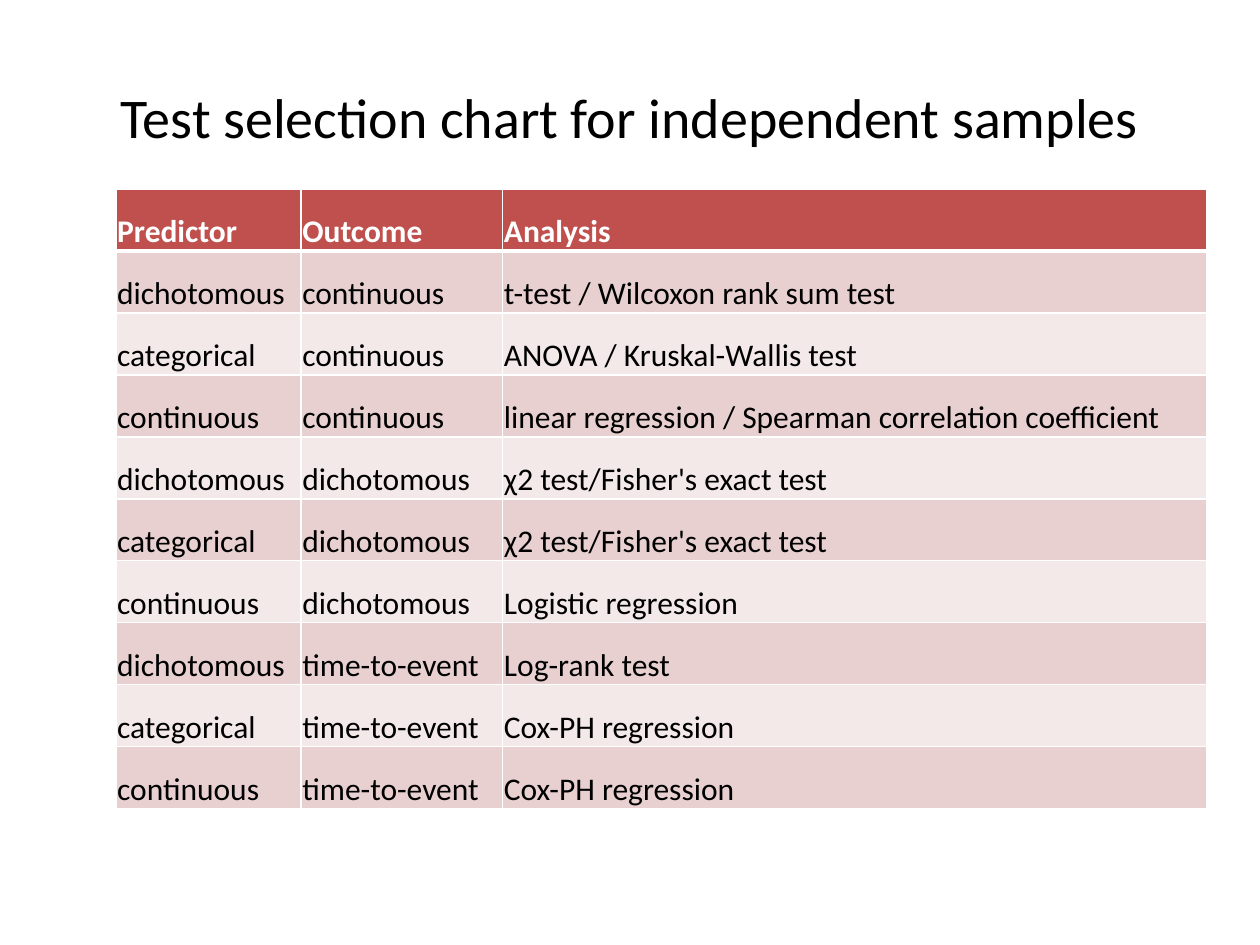
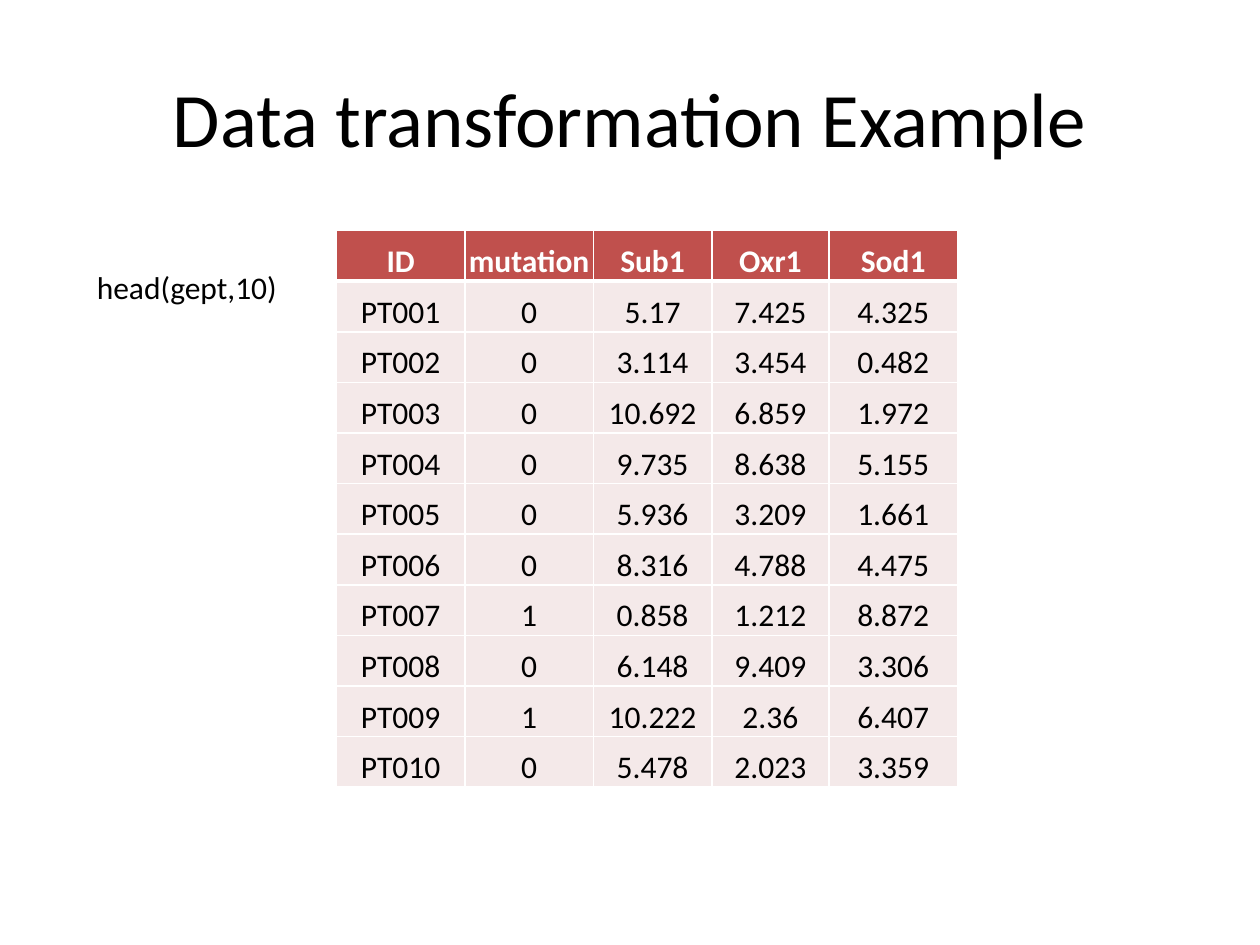
from lxml.etree import SubElement
from pptx import Presentation
from pptx.dml.color import RGBColor
from pptx.enum.text import MSO_ANCHOR as Anchor, MSO_AUTO_SIZE as AutoSize, PP_ALIGN as Align
from pptx.oxml.ns import qn
from pptx.util import Inches, Pt

FONT = "Calibri"
BLACK, WHITE = "000000", "FFFFFF"
HEADER, DARK_BAND, LIGHT_BAND = "C0504D", "E8D0D0", "F4E9E9"
TITLE_ONLY = 5

TESTS = [
    ("Predictor", "Outcome", "Analysis"),
    ("dichotomous", "continuous", "t-test / Wilcoxon rank sum test"),
    ("categorical", "continuous", "ANOVA / Kruskal-Wallis test"),
    ("continuous", "continuous", "linear regression / Spearman correlation coefficient"),
    ("dichotomous", "dichotomous", "χ2 test/Fisher's exact test"),
    ("categorical", "dichotomous", "χ2 test/Fisher's exact test"),
    ("continuous", "dichotomous", "Logistic regression"),
    ("dichotomous", "time-to-event", "Log-rank test"),
    ("categorical", "time-to-event", "Cox-PH regression"),
    ("continuous", "time-to-event", "Cox-PH regression"),
]

EXPRESSION = [
    ("ID", "mutation", "Sub1", "Oxr1", "Sod1"),
    ("PT001", "0", "5.17", "7.425", "4.325"),
    ("PT002", "0", "3.114", "3.454", "0.482"),
    ("PT003", "0", "10.692", "6.859", "1.972"),
    ("PT004", "0", "9.735", "8.638", "5.155"),
    ("PT005", "0", "5.936", "3.209", "1.661"),
    ("PT006", "0", "8.316", "4.788", "4.475"),
    ("PT007", "1", "0.858", "1.212", "8.872"),
    ("PT008", "0", "6.148", "9.409", "3.306"),
    ("PT009", "1", "10.222", "2.36", "6.407"),
    ("PT010", "0", "5.478", "2.023", "3.359"),
]


def color(value):
    """Turn a hex string into a colour."""
    return RGBColor.from_string(value)


def add_run(paragraph, text, size=18, ink=BLACK, bold=False, align=Align.LEFT):
    """Add one formatted run and align its paragraph."""
    paragraph.alignment = align
    run = paragraph.add_run()
    run.text = text
    run.font.name = FONT
    run.font.size = Pt(size)
    run.font.bold = bold
    run.font.color.rgb = color(ink)


def add_titled_slide(presentation, title, size):
    """Add a slide with a centred title."""
    slide = presentation.slides.add_slide(presentation.slide_layouts[TITLE_ONLY])
    shape = slide.shapes.title
    shape.left, shape.top = Inches(0.5), Inches(0.3)
    shape.width, shape.height = Inches(9), Inches(1.25)
    shape.text_frame.vertical_anchor = Anchor.MIDDLE
    add_run(shape.text_frame.paragraphs[0], title, size, align=Align.CENTER)
    return slide


def set_borders(cell, top, bottom):
    """Draw white borders, with the given top and bottom widths in points."""
    properties = cell._tc.get_or_add_tcPr()
    for side, width in (("L", 1), ("R", 1), ("T", top), ("B", bottom)):
        line = SubElement(properties, qn(f"a:ln{side}"), w=str(Pt(width)))
        fill = SubElement(line, qn("a:solidFill"))
        SubElement(fill, qn("a:srgbClr"), val=WHITE)


def format_cell(cell, text, row, fill, align):
    """Fill one cell, styling it by its row number."""
    cell.margin_left = cell.margin_top = cell.margin_right = Inches(0.01)
    cell.margin_bottom = 0
    cell.vertical_anchor = Anchor.BOTTOM
    set_borders(cell, top=3 if row == 1 else 1, bottom=3 if row == 0 else 1)
    cell.fill.solid()
    cell.fill.fore_color.rgb = color(fill)
    ink = WHITE if row == 0 else BLACK
    add_run(cell.text_frame.paragraphs[0], text, ink=ink, bold=row == 0, align=align)


def add_data_table(slide, rows, left, top, height, widths, bands, align=Align.LEFT):
    """Add a table with a header row and body rows that cycle through bands."""
    frame = slide.shapes.add_table(
        len(rows), len(widths), Inches(left), Inches(top), Inches(sum(widths)), Inches(height))
    table = frame.table
    for column, width in zip(table.columns, widths):
        column.width = Inches(width)
    for row, texts in enumerate(rows):
        table.rows[row].height = Inches(height / len(rows))
        fill = bands[(row - 1) % len(bands)] if row else HEADER
        for column, text in enumerate(texts):
            format_cell(table.cell(row, column), text, row, fill, align)


def add_label(slide, text, left, top, width, height):
    """Add an unwrapped line of text."""
    shape = slide.shapes.add_textbox(Inches(left), Inches(top), Inches(width), Inches(height))
    shape.text_frame.word_wrap = False
    shape.text_frame.auto_size = AutoSize.SHAPE_TO_FIT_TEXT
    add_run(shape.text_frame.paragraphs[0], text)


def add_test_selection(presentation):
    """Build the slide that matches variable types to tests."""
    slide = add_titled_slide(presentation, "Test selection chart for independent samples", 32)
    add_data_table(slide, TESTS, 0.92, 1.5, 4.92, (1.47, 1.6, 5.59), (DARK_BAND, LIGHT_BAND))


def add_data_example(presentation):
    """Build the slide that shows the first rows of the data."""
    slide = add_titled_slide(presentation, "Data transformation Example", 44)
    add_data_table(slide, EXPRESSION, 2.67, 1.83, 4.42, (1.02, 1.02, 0.94, 0.93, 1.02),
                   (LIGHT_BAND,), Align.CENTER)
    add_label(slide, "head(gept,10)", 0.67, 2.08, 1.65, 0.4)


def main():
    """Build and save the presentation."""
    presentation = Presentation()
    presentation.slide_width, presentation.slide_height = Inches(10), Inches(7.5)
    add_test_selection(presentation)
    add_data_example(presentation)
    presentation.save("out.pptx")


main()
